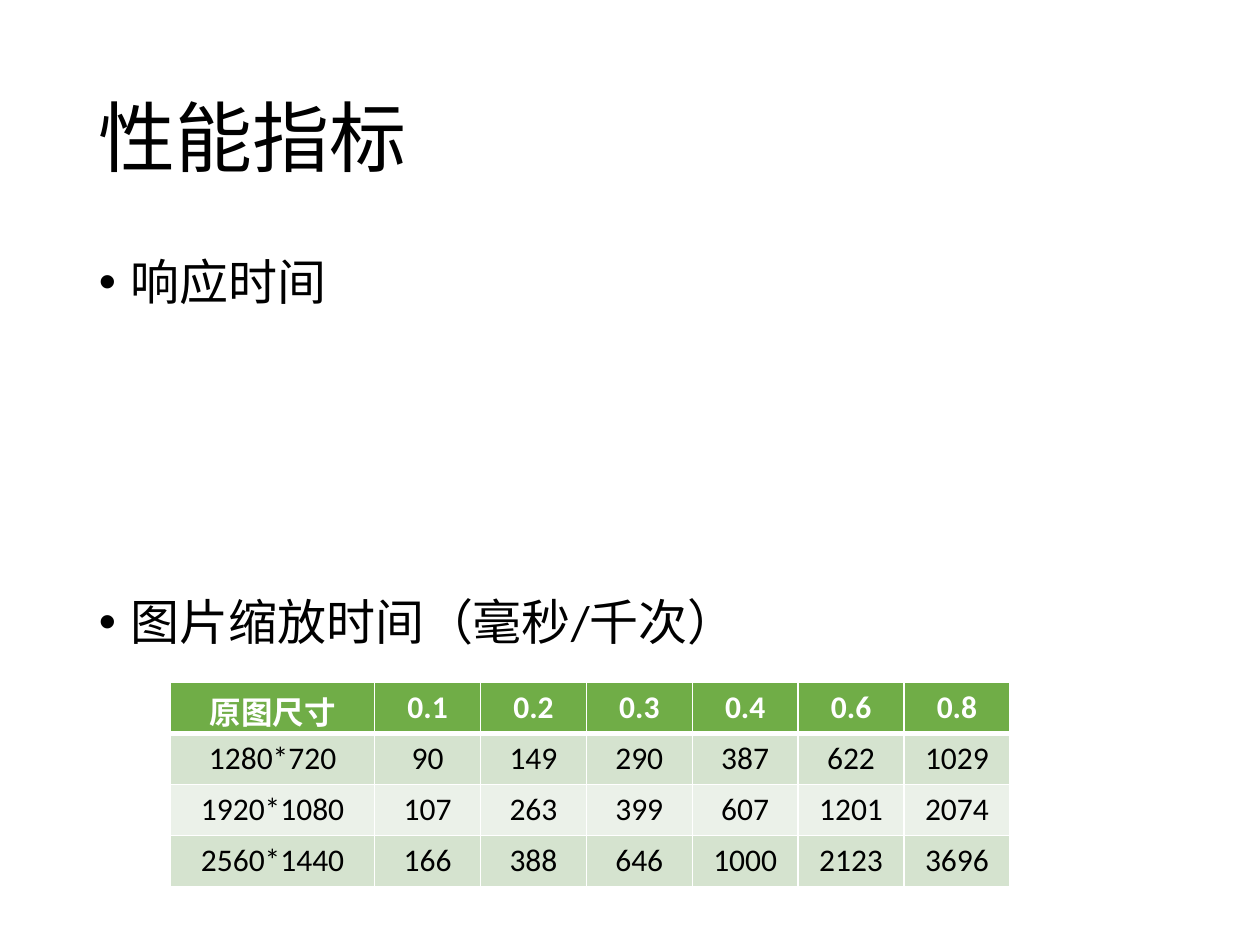
import pptx
import pptx.util
import pptx.dml.color
import pptx.enum.text
import pptx.oxml.ns
import lxml.etree

Pt = pptx.util.Pt
ALIGN = pptx.enum.text.PP_ALIGN
ANCHOR = pptx.enum.text.MSO_ANCHOR

# Content
TITLE = "性能指标"
BULLETS = [("响应时间", 10), ("图片缩放时间（毫秒/千次）", 164)]  # text, space before
SCALING_TIMES = [
    ["原图尺寸", "0.1", "0.2", "0.3", "0.4", "0.6", "0.8"],
    ["1280*720", "90", "149", "290", "387", "622", "1029"],
    ["1920*1080", "107", "263", "399", "607", "1201", "2074"],
    ["2560*1440", "166", "388", "646", "1000", "2123", "3696"],
]

# Format values
TITLE_FONT = {"size": Pt(44), "name": "Calibri", "color": "000000"}
BULLET_FONT = {"size": Pt(28), "name": "Calibri", "color": "000000"}
HEADER_FONT = {"size": Pt(18), "name": "Calibri", "color": "FFFFFF", "bold": True}
BODY_FONT = {"size": Pt(18), "name": "Calibri", "color": "000000", "bold": False}
HEADER_FILL, BAND_FILLS = "70AD47", ["D5E3CF", "EBF1E9"]
BORDER_COLOR = "FFFFFF"
LEFT, WIDTH = 49.5, 621
TABLE_LEFT, TABLE_TOP = 97.5, 389.75
FIRST_COLUMN, OTHER_COLUMNS, ROW_HEIGHT = 116.6, 60.5, 29.2


def rgb(value):
    return pptx.dml.color.RGBColor.from_string(value)


def add_run(paragraph, text, font_values):
    run = paragraph.add_run()
    run.text = text
    for name, value in font_values.items():
        if name == "color":
            run.font.color.rgb = rgb(value)
        else:
            setattr(run.font, name, value)


def add_text_frame(slide, top, height, anchor):
    frame = slide.shapes.add_textbox(Pt(LEFT), Pt(top), Pt(WIDTH), Pt(height)).text_frame
    frame.word_wrap = True
    frame.vertical_anchor = anchor
    return frame


def add_child(parent, tag, **attributes):
    return lxml.etree.SubElement(parent, pptx.oxml.ns.qn(tag), attributes)


def set_bullet(paragraph, indent):
    properties = paragraph._p.get_or_add_pPr()
    properties.set("marL", str(Pt(indent)))
    properties.set("indent", str(-Pt(indent)))
    add_child(properties, "a:buFont", typeface="Arial")
    add_child(properties, "a:buChar", char="•")


def format_cell(cell, fill, border_widths):
    properties = cell._tc.get_or_add_tcPr()
    for side, width in border_widths.items():
        line = add_child(properties, f"a:ln{side}", w=str(Pt(width)))
        add_child(add_child(line, "a:solidFill"), "a:srgbClr", val=BORDER_COLOR)
    cell.fill.solid()
    cell.fill.fore_color.rgb = rgb(fill)


def add_times_table(slide):
    row_count, column_count = len(SCALING_TIMES), len(SCALING_TIMES[0])
    widths = [FIRST_COLUMN] + [OTHER_COLUMNS] * (column_count - 1)
    table = slide.shapes.add_table(
        row_count, column_count, Pt(TABLE_LEFT), Pt(TABLE_TOP),
        Pt(sum(widths)), Pt(ROW_HEIGHT * row_count)).table
    for column, width in zip(table.columns, widths):
        column.width = Pt(width)
    for row_index, row in enumerate(SCALING_TIMES):
        table.rows[row_index].height = Pt(ROW_HEIGHT)
        is_header = row_index == 0
        font = HEADER_FONT if is_header else BODY_FONT
        fill = HEADER_FILL if is_header else BAND_FILLS[(row_index - 1) % 2]
        # A thick rule separates the header from the first body row
        borders = {"L": 1, "R": 1, "T": 3 if row_index == 1 else 1, "B": 3 if is_header else 1}
        for column_index, text in enumerate(row):
            cell = table.cell(row_index, column_index)
            format_cell(cell, fill, borders)
            paragraph = cell.text_frame.paragraphs[0]
            paragraph.alignment = ALIGN.CENTER
            add_run(paragraph, text, font)


def main():
    presentation = pptx.Presentation()
    presentation.slide_width, presentation.slide_height = Pt(720), Pt(540)
    slide = presentation.slides.add_slide(presentation.slide_layouts[6])

    # Title
    paragraph = add_text_frame(slide, 28.75, 104.4, ANCHOR.MIDDLE).paragraphs[0]
    paragraph.line_spacing = 0.9
    add_run(paragraph, TITLE, TITLE_FONT)

    # Bullets
    frame = add_text_frame(slide, 143.75, 342.6, ANCHOR.TOP)
    for index, (text, space_before) in enumerate(BULLETS):
        paragraph = frame.add_paragraph() if index else frame.paragraphs[0]
        paragraph.line_spacing = 0.9
        paragraph.space_before = Pt(space_before)
        set_bullet(paragraph, 18)
        add_run(paragraph, text, BULLET_FONT)

    # Scaling times
    add_times_table(slide)
    presentation.save("out.pptx")


if __name__ == "__main__":
    main()
